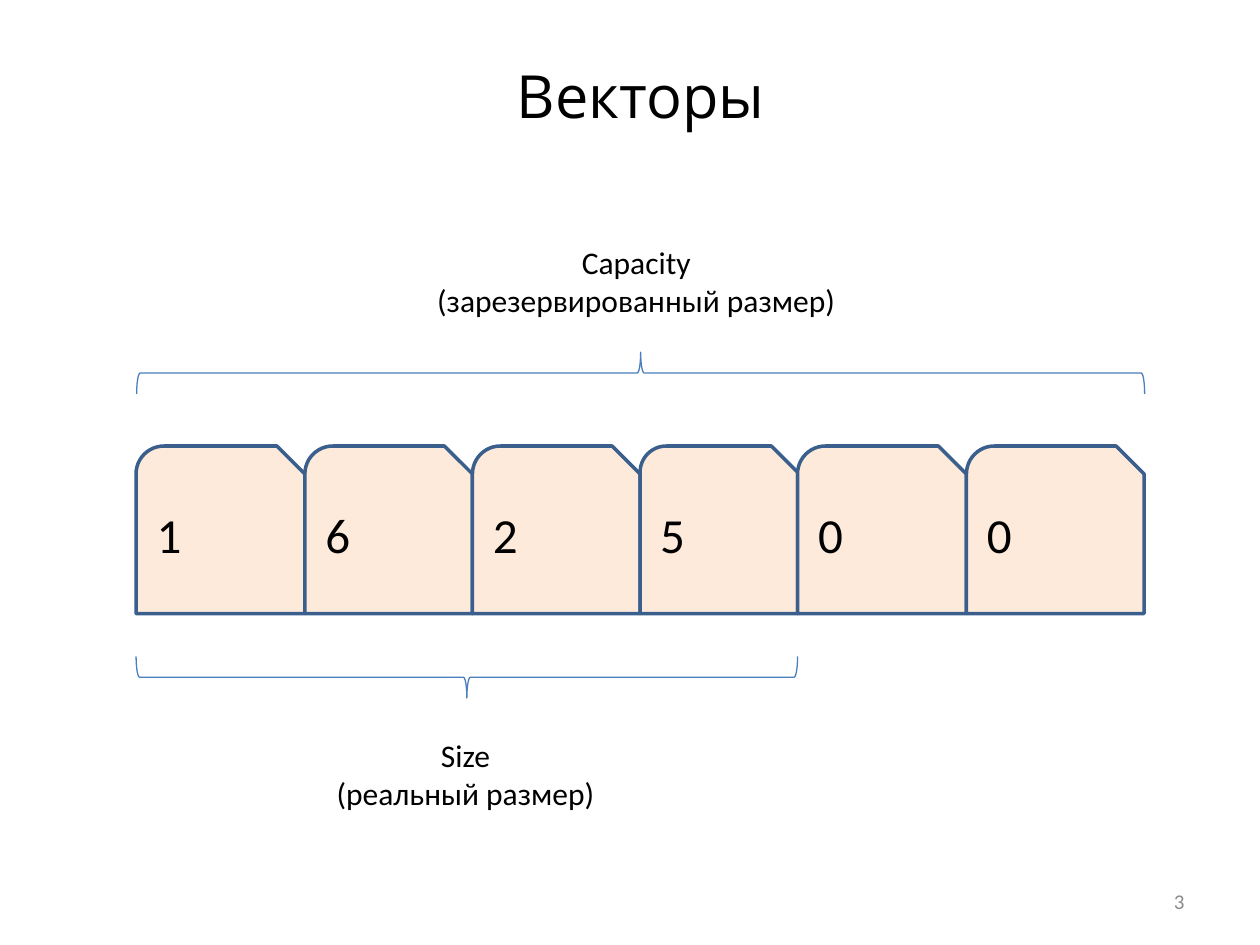
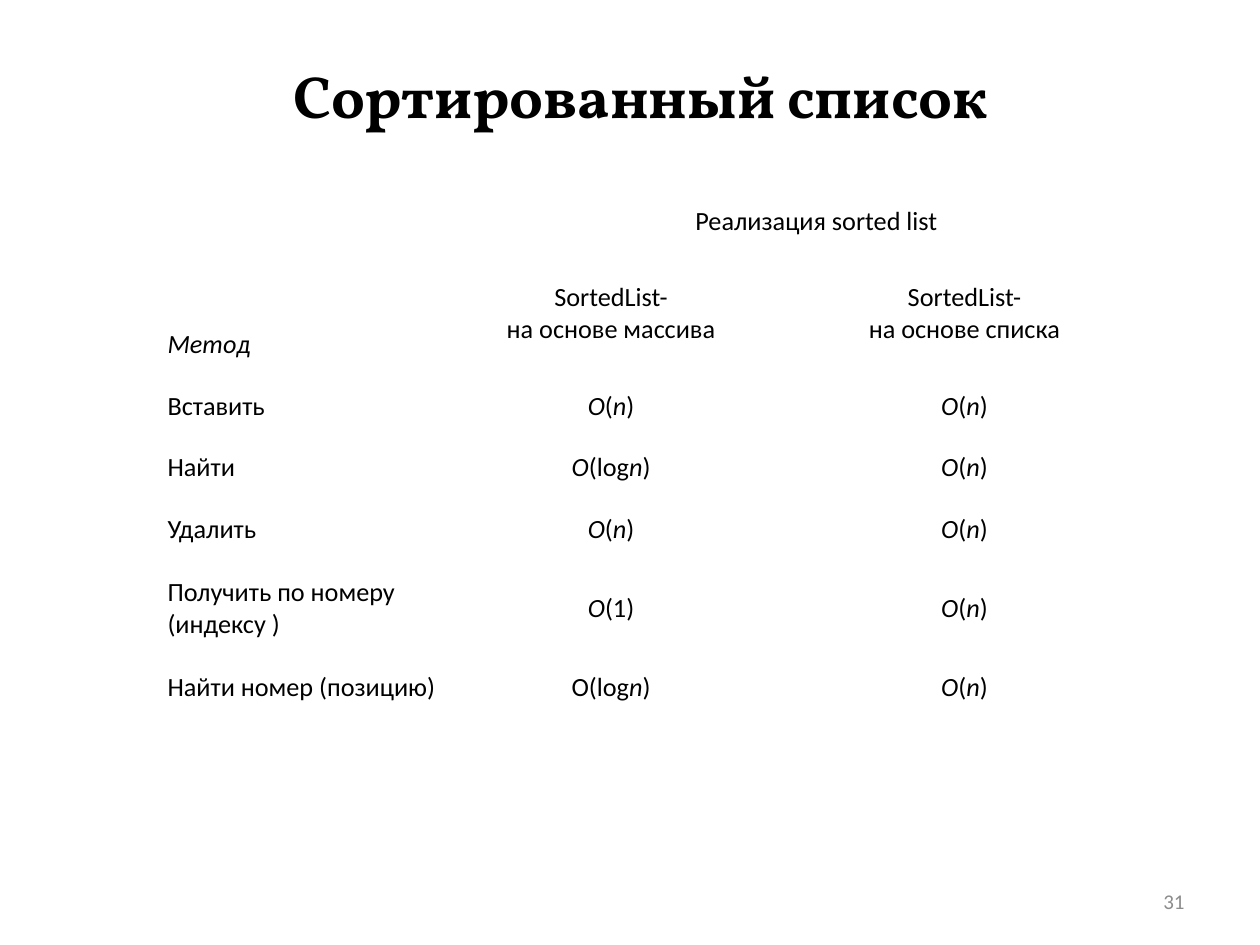
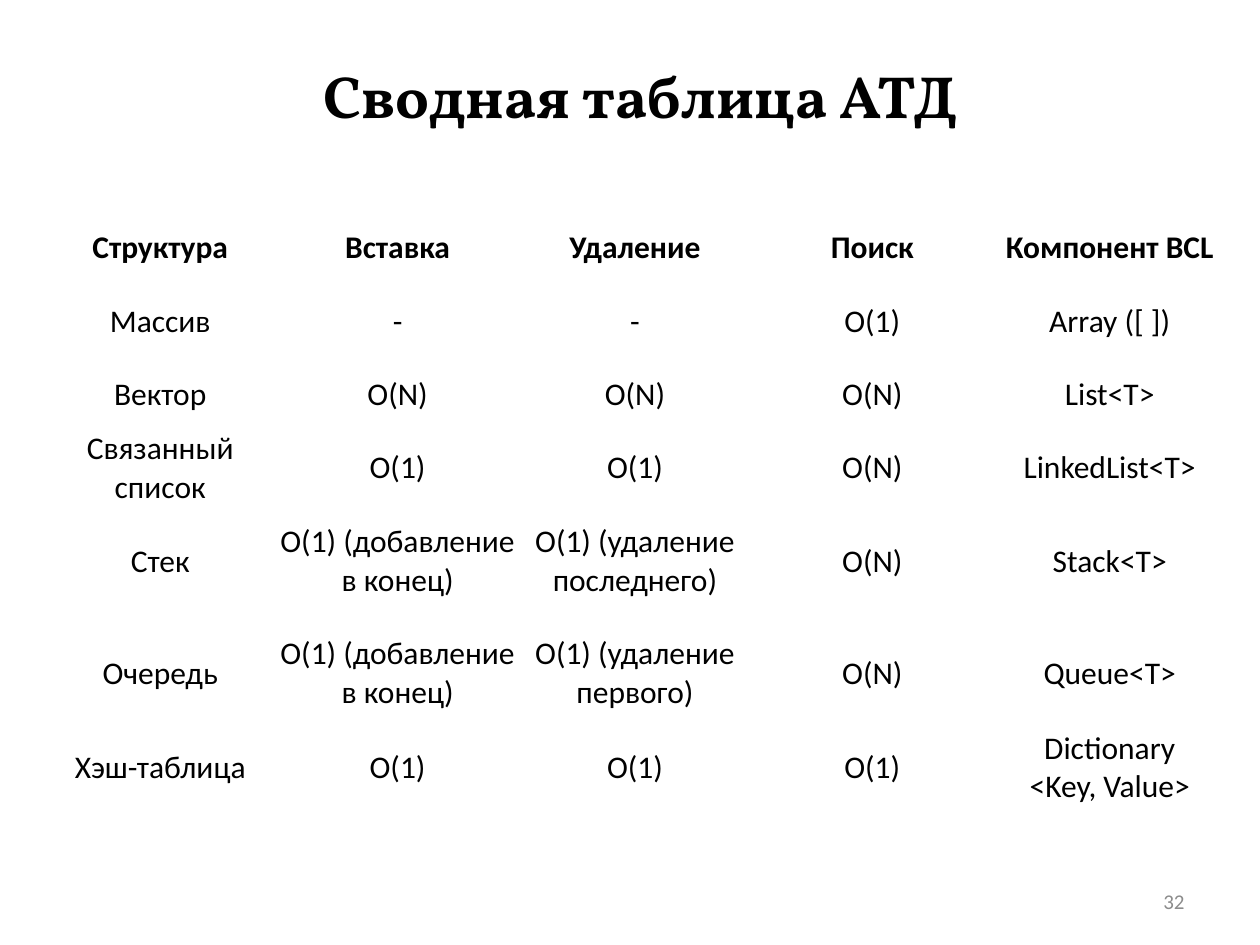
"""Build three slides on vectors, sorted lists and abstract data types."""
from itertools import pairwise

from pptx import Presentation
from pptx.dml.color import RGBColor
from pptx.enum.shapes import MSO_SHAPE as Shape
from pptx.enum.text import MSO_ANCHOR as Anchor, MSO_AUTO_SIZE as AutoSize, PP_ALIGN as Align
from pptx.util import Inches, Pt

COLORS = {
    "text": "000000",
    "number": "8C8C8C",
    "cell": "FDEADA",
    "outline": "3A5F8C",
    "brace": "4B7EBC",
    "paper": "FFFFFF",
}
TITLE_ONLY = 5


class SlideMaker:
    """Hold the shared style and the slide being filled."""

    def __init__(self, deck):
        self.deck = deck
        self.slide = None

    def color(self, name):
        return RGBColor.from_string(COLORS[name])

    def place(self, item, left, top, width, height):
        frame = {"left": left, "top": top, "width": width, "height": height}
        for name, value in frame.items():
            setattr(item, name, Inches(value))

    def add_text(self, frame, text, size, align=Align.CENTER, color="text", font="Calibri", bold=False):
        for index, line in enumerate(text.split("\n")):
            para = frame.add_paragraph() if index else frame.paragraphs[0]
            para.alignment = align
            for part, piece in enumerate(line.split("*")):
                if not piece:
                    continue
                span = para.add_run()
                span.text = piece
                look = {"name": font, "size": Pt(size), "bold": bold, "italic": part % 2 == 1}
                for name, value in look.items():
                    setattr(span.font, name, value)
                span.font.color.rgb = self.color(color)

    def start(self, title, number, font="Vollkorn", bold=True):
        self.slide = self.deck.slides.add_slide(self.deck.slide_layouts[TITLE_ONLY])
        box = self.slide.shapes.title
        self.place(box, 1, 0.42, 8.17, 0.58)
        frame = box.text_frame
        frame.auto_size = AutoSize.NONE
        frame.vertical_anchor = Anchor.TOP
        self.add_text(frame, title, 34, font=font, bold=bold)
        self.number(number)

    def number(self, number):
        box = self.slide.shapes.add_textbox(Inches(7.17), Inches(6.95), Inches(2.33), Inches(0.4))
        frame = box.text_frame
        frame.word_wrap = True
        frame.vertical_anchor = Anchor.MIDDLE
        self.add_text(frame, str(number), 12, Align.RIGHT, "number")

    def label(self, text, *area):
        box = self.slide.shapes.add_textbox(*map(Inches, area))
        frame = box.text_frame
        frame.word_wrap = False
        frame.auto_size = AutoSize.SHAPE_TO_FIT_TEXT
        self.add_text(frame, text, 18)

    def shape(self, kind, area, line, weight):
        item = self.slide.shapes.add_shape(kind, *map(Inches, area))
        item.shadow.inherit = False
        item.line.color.rgb = self.color(line)
        item.line.width = Pt(weight)
        return item

    def element(self, text, *area):
        item = self.shape(Shape.SNIP_ROUND_RECTANGLE, area, "outline", 2)
        item.fill.solid()
        item.fill.fore_color.rgb = self.color("cell")
        item.text_frame.vertical_anchor = Anchor.MIDDLE
        self.add_text(item.text_frame, text, 28, Align.LEFT)

    def brace(self, rotation, *area):
        item = self.shape(Shape.RIGHT_BRACE, area, "brace", 0.75)
        item.fill.background()
        item.rotation = rotation

    def table(self, left, top, widths, heights, rows, size, margins=(0, 0),
              merges=(), fill=None, first_align=Align.CENTER, bold_header=False):
        area = (left, top, sum(widths), sum(heights))
        table = self.slide.shapes.add_table(len(heights), len(widths), *map(Inches, area)).table
        table.first_row = table.horz_banding = False
        for column, width in zip(table.columns, widths):
            column.width = Inches(width)
        for row, height in zip(table.rows, heights):
            row.height = Inches(height)
        for start, end in merges:
            table.cell(*start).merge(table.cell(*end))
        side, edge = map(Inches, margins)
        look = {"margin_left": side, "margin_right": side, "margin_top": edge,
                "margin_bottom": edge, "vertical_anchor": Anchor.MIDDLE}
        for r, texts in enumerate(rows):
            for c, text in enumerate(texts):
                cell = table.cell(r, c)
                for name, value in look.items():
                    setattr(cell, name, value)
                if fill:
                    cell.fill.solid()
                    cell.fill.fore_color.rgb = self.color(fill)
                else:
                    cell.fill.background()
                align = Align.CENTER if c else first_align
                self.add_text(cell.text_frame, text, size, align, bold=bold_header and r == 0)


def vectors(maker):
    """Draw the vector with its capacity and size."""
    maker.start("Векторы", 3, "Open Sans", False)
    edges = [1.08, 2.42, 3.75, 5.08, 6.33, 7.67, 9.08]
    for value, (left, right) in zip("162500", pairwise(edges)):
        maker.element(value, left, 3.54, right - left, 1.33)
    maker.brace(90, 3.54, 2.75, 0.33, 5.25)
    maker.brace(270, 4.92, -1.04, 0.33, 8)
    maker.label("Size\n(реальный размер)", 2.56, 5.79, 2.27, 0.71)
    maker.label("Capacity\n(зарезервированный размер)", 3.35, 1.88, 3.4, 0.71)


def sorted_list(maker):
    """Compare the two sorted list implementations."""
    maker.start("Сортированный список", 31)
    linear, logarithmic = "*O*(*n*)", "*O*(log*n*)"
    costs = [
        ("Вставить", linear),
        ("Найти", logarithmic),
        ("Удалить", linear),
        ("Получить по номеру (индексу )", "*O*(1)"),
        ("Найти номер (позицию)", "O(log*n*)"),
    ]
    rows = [
        ("", "Реализация sorted list", "", ""),
        ("", "SortedList-\nна основе массива", "", "SortedList-\nна основе списка"),
        ("*Метод*", "", "", ""),
        *((method, cost, "", linear) for method, cost in costs),
    ]
    maker.table(1.25, 1.51, [2.54, 2.12, 0.23, 3.03], [0.49] * 6 + [0.76, 0.49], rows, 15,
                margins=(0.08, 0.04), fill="paper", first_align=Align.LEFT,
                merges=[((0, 1), (0, 3)), ((1, 1), (2, 1)), ((1, 3), (2, 3))])


def summary(maker):
    """Sum up the cost of each data structure."""
    maker.start("Сводная таблица АТД", 32)
    append = "O(1) (добавление в конец)"
    rows = [
        ("Структура", "Вставка", "Удаление", "Поиск", "Компонент BCL"),
        ("Массив", "-", "-", "O(1)", "Array ([ ])"),
        ("Вектор", "O(N)", "O(N)", "O(N)", "List<T>"),
        ("Связанный список", "O(1)", "O(1)", "O(N)", "LinkedList<T>"),
        ("Стек", append, "O(1) (удаление последнего)", "O(N)", "Stack<T>"),
        ("Очередь", append, "O(1) (удаление первого)", "O(N)", "Queue<T>"),
        ("Хэш-таблица", "O(1)", "O(1)", "O(1)", "Dictionary\n<Key, Value>"),
    ]
    maker.table(0.33, 1.67, [9.42 / 5] * 5, [0.59, 0.59, 0.56, 0.59, 0.89, 0.89, 0.59],
                rows, 18, bold_header=True)


deck = Presentation()
deck.slide_width, deck.slide_height = Inches(10), Inches(7.5)
maker = SlideMaker(deck)
for build in (vectors, sorted_list, summary):
    build(maker)
deck.save("out.pptx")
